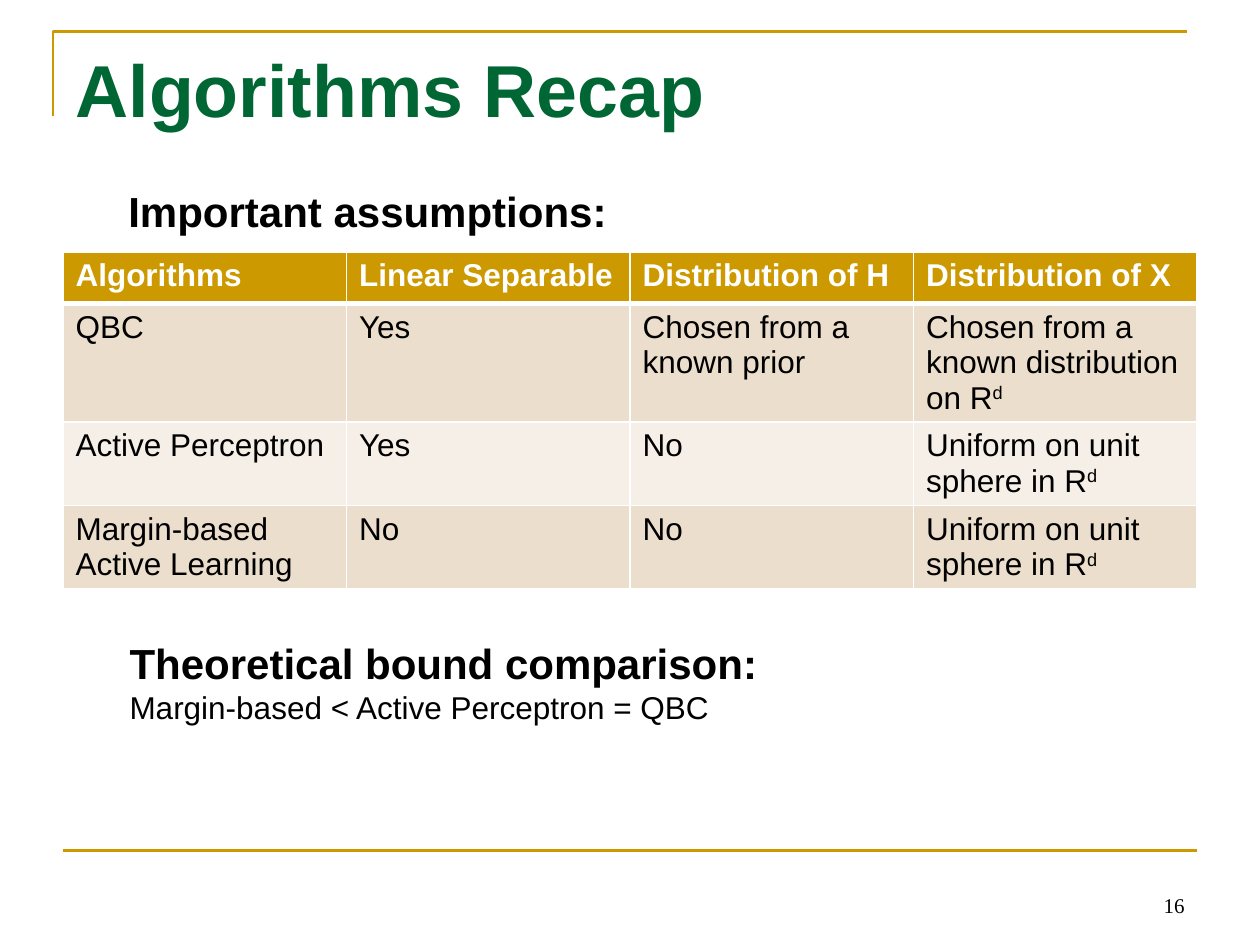
from lxml import etree
from pptx import Presentation
from pptx.dml.color import RGBColor
from pptx.enum.shapes import MSO_CONNECTOR
from pptx.enum.text import MSO_ANCHOR, PP_ALIGN
from pptx.oxml.ns import qn
from pptx.util import Inches, Pt

LEFT, RIGHT = PP_ALIGN.LEFT, PP_ALIGN.RIGHT
TOP, BOTTOM = MSO_ANCHOR.TOP, MSO_ANCHOR.BOTTOM
STRAIGHT = MSO_CONNECTOR.STRAIGHT

GOLD = RGBColor(0xCC, 0x99, 0x00)
GREEN = RGBColor(0x00, 0x66, 0x33)
BLACK = RGBColor(0x00, 0x00, 0x00)
WHITE = RGBColor(0xFF, 0xFF, 0xFF)
BANDS = [RGBColor(0xEC, 0xDE, 0xCC), RGBColor(0xF6, 0xEF, 0xE7)]

HEADER = ["Algorithms", "Linear Separable", "Distribution of H", "Distribution of X"]
# A caret marks the start of a superscript
ALGORITHMS = [
    ["QBC", "Yes", "Chosen from a known prior", "Chosen from a known distribution on R^d"],
    ["Active Perceptron", "Yes", "No", "Uniform on unit sphere in R^d"],
    ["Margin-based Active Learning", "No", "No", "Uniform on unit sphere in R^d"],
]


def style(paragraph, size, color=BLACK, bold=False, name="Arial", align=LEFT):
    paragraph.alignment = align
    font = paragraph.font
    font.name, font.size, font.bold = name, Pt(size), bold
    font.color.rgb = color


def add_frame(slide, left, top, width, bottom):
    # Corner rule around the title
    corner = slide.shapes.build_freeform(Inches(left), Inches(top + 0.67))
    corner.add_line_segments(
        [(Inches(left), Inches(top)), (Inches(left + width), Inches(top))], close=False)
    bracket = corner.convert_to_shape()
    bracket.shadow.inherit = False
    bracket.fill.background()

    # Rule above the footer
    footer_rule = slide.shapes.add_connector(
        STRAIGHT, Inches(0.5), Inches(bottom), Inches(0.5 + width), Inches(bottom))
    etree.SubElement(footer_rule._element.spPr, qn("a:effectLst"))
    for rule in (bracket, footer_rule):
        rule.line.color.rgb = GOLD
        rule.line.width = Pt(1.5)


def add_title(slide, left, top, width, height):
    title = slide.shapes.title
    title.left, title.top = Inches(left), Inches(top)
    title.width, title.height = Inches(width), Inches(height)
    title.text_frame.text = "Algorithms Recap"
    title.text_frame.vertical_anchor = TOP
    style(title.text_frame.paragraphs[0], 42, GREEN, bold=True)


def add_text(slide, left, top, width, height, lines, anchor=TOP):
    """Each line is its text and the keyword arguments of its style."""
    frame = slide.shapes.add_textbox(
        Inches(left), Inches(top), Inches(width), Inches(height)).text_frame
    frame.word_wrap = True
    frame.vertical_anchor = anchor
    frame.text = "\n".join(text for text, _ in lines)
    for paragraph, (_, look) in zip(frame.paragraphs, lines):
        style(paragraph, **look)


def set_borders(cell, widths):
    properties = cell._tc.get_or_add_tcPr()
    for side, width in widths.items():
        border = etree.SubElement(properties, qn(f"a:ln{side}"), w=str(Pt(width)))
        fill = etree.SubElement(border, qn("a:solidFill"))
        etree.SubElement(fill, qn("a:srgbClr"), val=str(WHITE))


def fill_cell(cell, text, row):
    is_header = row == 0
    set_borders(cell, {"L": 1, "R": 1, "T": 3 if row == 1 else 1, "B": 3 if is_header else 1})
    cell.fill.solid()
    cell.fill.fore_color.rgb = GOLD if is_header else BANDS[(row - 1) % 2]
    paragraph = cell.text_frame.paragraphs[0]
    base, _, superscript = text.partition("^")
    paragraph.add_run().text = base
    if superscript:
        raised = paragraph.add_run()
        raised.text = superscript
        raised.font._element.set("baseline", "30000")
    style(paragraph, 18, WHITE if is_header else BLACK, bold=is_header)


def add_assumptions_table(slide, left, top, width, row_height):
    rows = [HEADER] + ALGORITHMS
    table = slide.shapes.add_table(
        len(rows), len(HEADER), Inches(left), Inches(top),
        Inches(width), Inches(row_height * len(rows))).table
    for row, texts in enumerate(rows):
        for column, text in enumerate(texts):
            fill_cell(table.cell(row, column), text, row)


def main():
    deck = Presentation()
    deck.slide_width, deck.slide_height = Inches(10), Inches(7.5)
    slide = deck.slides.add_slide(deck.slide_layouts[5])
    heading = {"size": 24, "bold": True}

    add_frame(slide, 0.42, 0.25, 9, 6.75)
    add_title(slide, 0.5, 0.3, 9, 1.25)
    add_assumptions_table(slide, 0.5, 2, 9, 0.41)

    # Slide number
    add_text(slide, 7.17, 6.83, 2.33, 0.5,
             [("16", {"size": 12, "name": "Times New Roman", "align": RIGHT})], BOTTOM)
    # Bound comparison below the table, heading above it
    add_text(slide, 0.93, 5.01, 8.15, 0.91, [
        ("Theoretical bound comparison:", heading),
        ("Margin-based < Active Perceptron = QBC", {"size": 18}),
    ])
    add_text(slide, 0.92, 1.42, 5.75, 0.5, [("Important assumptions:", heading)])

    deck.save("out.pptx")


if __name__ == "__main__":
    main()
